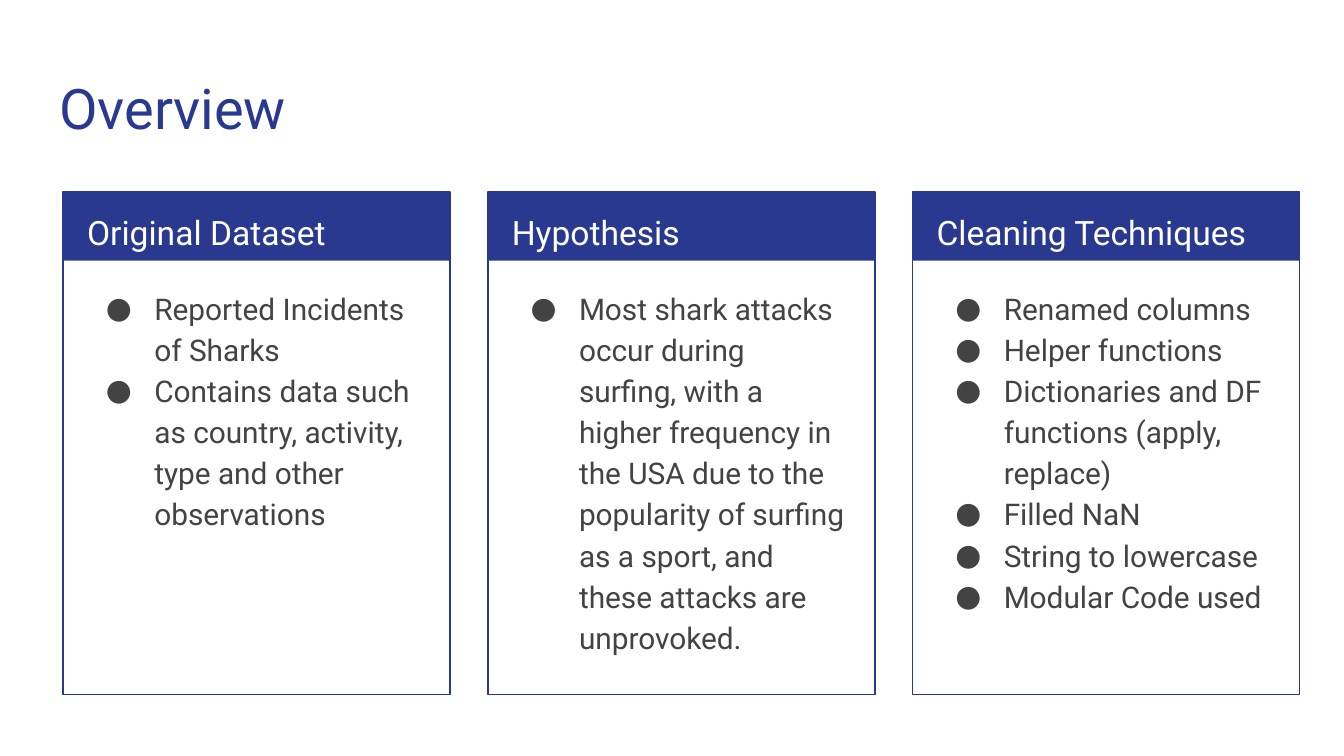
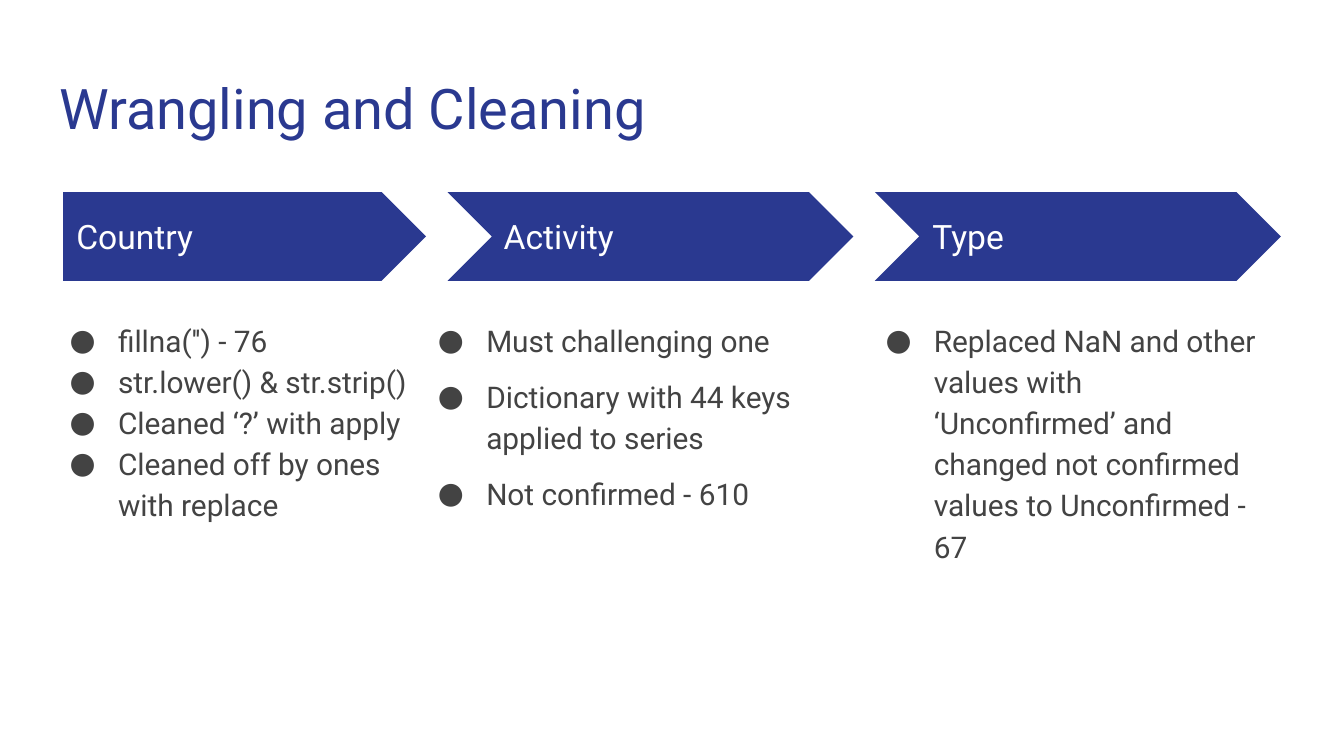
"""Builds two slides on cleaning a shark attack dataset."""
from lxml import etree
from pptx import Presentation
from pptx.dml.color import RGBColor
from pptx.enum.lang import MSO_LANGUAGE_ID
from pptx.enum.shapes import MSO_SHAPE
from pptx.enum.text import MSO_ANCHOR, MSO_AUTO_SIZE, PP_ALIGN
from pptx.oxml.ns import qn
from pptx.util import Inches, Pt

RECT, PENTAGON, CHEVRON = MSO_SHAPE.RECTANGLE, MSO_SHAPE.PENTAGON, MSO_SHAPE.CHEVRON
TOP, MIDDLE = MSO_ANCHOR.TOP, MSO_ANCHOR.MIDDLE
LEFT = PP_ALIGN.LEFT
NO_FIT = MSO_AUTO_SIZE.NONE
ENGLISH = MSO_LANGUAGE_ID.ENGLISH_US

BLUE = RGBColor(0x2A, 0x39, 0x90)
GREY = RGBColor(0x43, 0x43, 0x43)
WHITE = RGBColor(0xFF, 0xFF, 0xFF)
FONT = "Roboto"
TITLE_ONLY = 5
MARGIN, STEP, BAND_TOP = 0.47, 3.16, 1.43

CARDS = [
    ("Original Dataset", [
        "Reported Incidents of Sharks",
        "Contains data such as country, activity, type and other observations"]),
    ("Hypothesis", [
        "Most shark attacks occur during surfing, with a higher frequency in the USA "
        "due to the popularity of surfing as a sport, and these attacks are unprovoked."]),
    ("Cleaning Techniques", [
        "Renamed columns", "Helper functions",
        "Dictionaries and DF functions (apply, replace)",
        "Filled NaN", "String to lowercase", "Modular Code used"]),
]

STAGES = [
    ("Country", PENTAGON, (0.47, 2.7), 0.47, (0.28, 2.89), 0, [
        "fillna('') - 76", "str.lower() & str.strip()",
        "Cleaned ‘?’ with apply", "Cleaned off by ones with replace"]),
    ("Activity", CHEVRON, (3.33, 3.02), 3.65, (3.02, 3.33), 8, [
        "Must challenging one", "Dictionary with 44 keys applied to series",
        "Not confirmed - 610"]),
    ("Type", CHEVRON, (6.51, 3.02), 6.84, (6.35, 3.19), 0, [
        "Replaced NaN and other values with ‘Unconfirmed’ and changed not confirmed "
        "values to Unconfirmed - 67"]),
]


def add_bullet(p):
    """Give a paragraph a hanging round bullet."""
    pPr = p._p.get_or_add_pPr()
    pPr.set("marL", str(Inches(0.5)))
    pPr.set("indent", str(Inches(-0.36)))
    color = etree.SubElement(pPr, qn("a:buClr"))
    etree.SubElement(color, qn("a:srgbClr"), val=str(GREY))
    etree.SubElement(pPr, qn("a:buFont"), typeface=FONT)
    etree.SubElement(pPr, qn("a:buChar"), char="●")


def write(tf, *lines, size=16, color=GREY, anchor=TOP, spacing=1.0, gap=0, bullets=False):
    """Fill a text frame with one paragraph per line."""
    tf.word_wrap = True
    tf.auto_size = NO_FIT
    tf.vertical_anchor = anchor
    tf.margin_left = tf.margin_right = tf.margin_top = tf.margin_bottom = Inches(0.1)
    for i, line in enumerate(lines):
        p = tf.add_paragraph() if i else tf.paragraphs[0]
        p.alignment = LEFT
        p.line_spacing = spacing
        p.space_before = Pt(gap if i else 0)
        p.space_after = Pt(0)
        if bullets:
            add_bullet(p)
        r = p.add_run()
        r.text = line
        r.font.name = FONT
        r.font.size = Pt(size)
        r.font.color.rgb = color
        r.font.language_id = ENGLISH


class Deck:
    """Holds the presentation, its style and the current slide."""

    def __init__(self):
        """Start a widescreen presentation."""
        self.prs = Presentation()
        self.prs.slide_width = Inches(10)
        self.prs.slide_height = Inches(10) * 9 // 16
        self.s = None

    def slide(self, title):
        """Add a slide with a formatted title."""
        self.s = self.prs.slides.add_slide(self.prs.slide_layouts[TITLE_ONLY])
        sp = self.s.shapes.title
        sp.left, sp.top = Inches(0.34), Inches(0.45)
        sp.width, sp.height = Inches(9.32), Inches(0.66)
        write(sp.text_frame, title, size=30, color=BLUE)

    def shape(self, kind, x, y, w, h, filled=True):
        """Add a solid blue shape, or one with only a blue outline."""
        sp = self.s.shapes.add_shape(kind, Inches(x), Inches(y), Inches(w), Inches(h))
        sp.shadow.inherit = False
        if filled:
            sp.fill.solid()
            sp.fill.fore_color.rgb = BLUE
            sp.line.fill.background()
        else:
            sp.fill.background()
            sp.line.color.rgb = BLUE
            sp.line.width = Pt(0.75)

    def text(self, x, y, w, h, *lines, **style):
        """Add a text box."""
        sp = self.s.shapes.add_textbox(Inches(x), Inches(y), Inches(w), Inches(h))
        write(sp.text_frame, *lines, **style)

    def heading(self, x, y, w, h, label, **style):
        """Add a white heading to lie on a blue shape."""
        self.text(x, y, w, h, label, size=18, color=WHITE, **style)

    def bullets(self, x, y, w, h, lines, gap=0):
        """Add a bulleted list."""
        self.text(x, y, w, h, *lines, spacing=1.15, gap=gap, bullets=True)

    def card(self, x, label, lines):
        """Add an outlined card with a header band and a list."""
        self.shape(RECT, x, BAND_TOP, 2.88, 0.51)
        self.shape(RECT, x, BAND_TOP, 2.88, 3.74, filled=False)
        self.heading(x + 0.08, BAND_TOP, 2.73, 0.5, label, spacing=1.15)
        self.bullets(x + 0.08, 2.02, 2.71, 3.06, lines)

    def stage(self, label, kind, arrow, label_x, body, gap, lines):
        """Add a process arrow with a list below it."""
        self.shape(kind, arrow[0], BAND_TOP, arrow[1], 0.66)
        self.heading(label_x, 1.59, 2.47, 0.34, label, anchor=MIDDLE)
        self.bullets(body[0], 2.26, body[1], 2.9, lines, gap)


def main():
    """Build and save both slides."""
    deck = Deck()
    deck.slide("Overview")
    for i, (label, lines) in enumerate(CARDS):
        deck.card(MARGIN + i * STEP, label, lines)
    deck.slide("Wrangling and Cleaning")
    for stage in STAGES:
        deck.stage(*stage)
    deck.prs.save("out.pptx")


if __name__ == "__main__":
    main()
